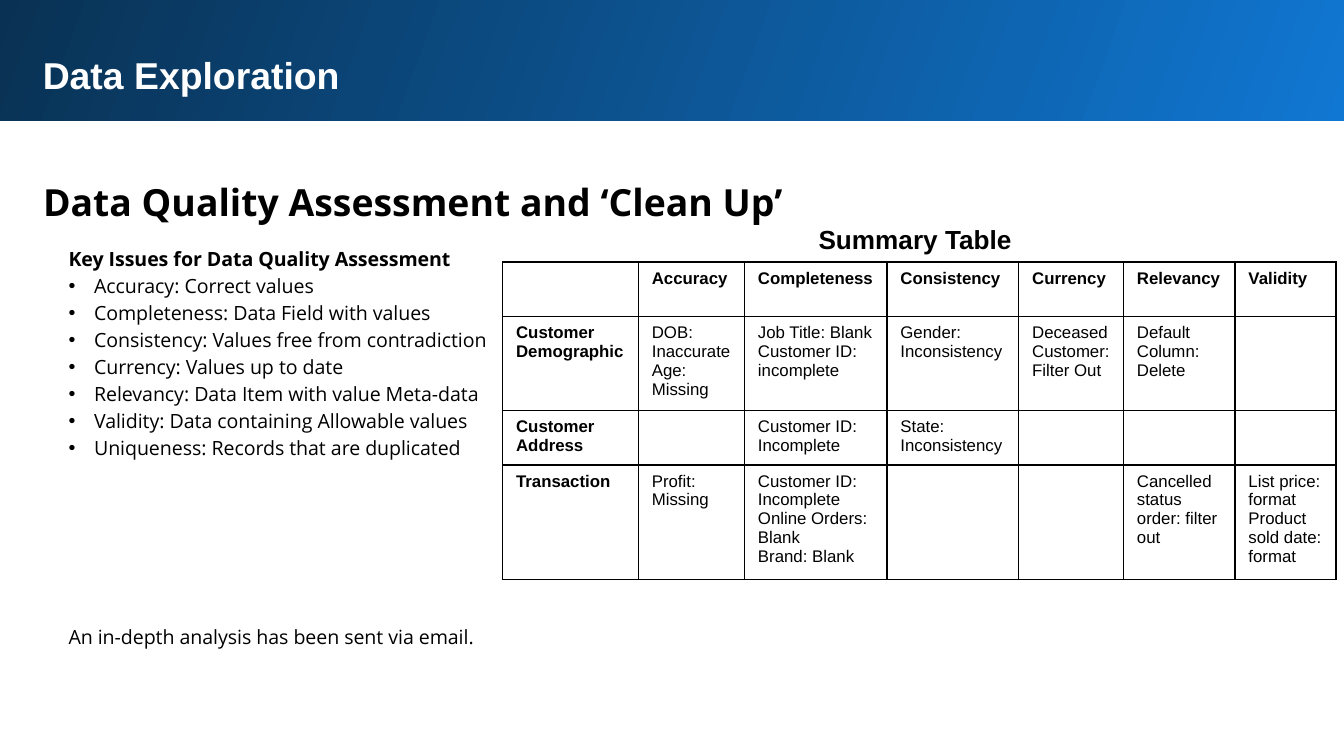
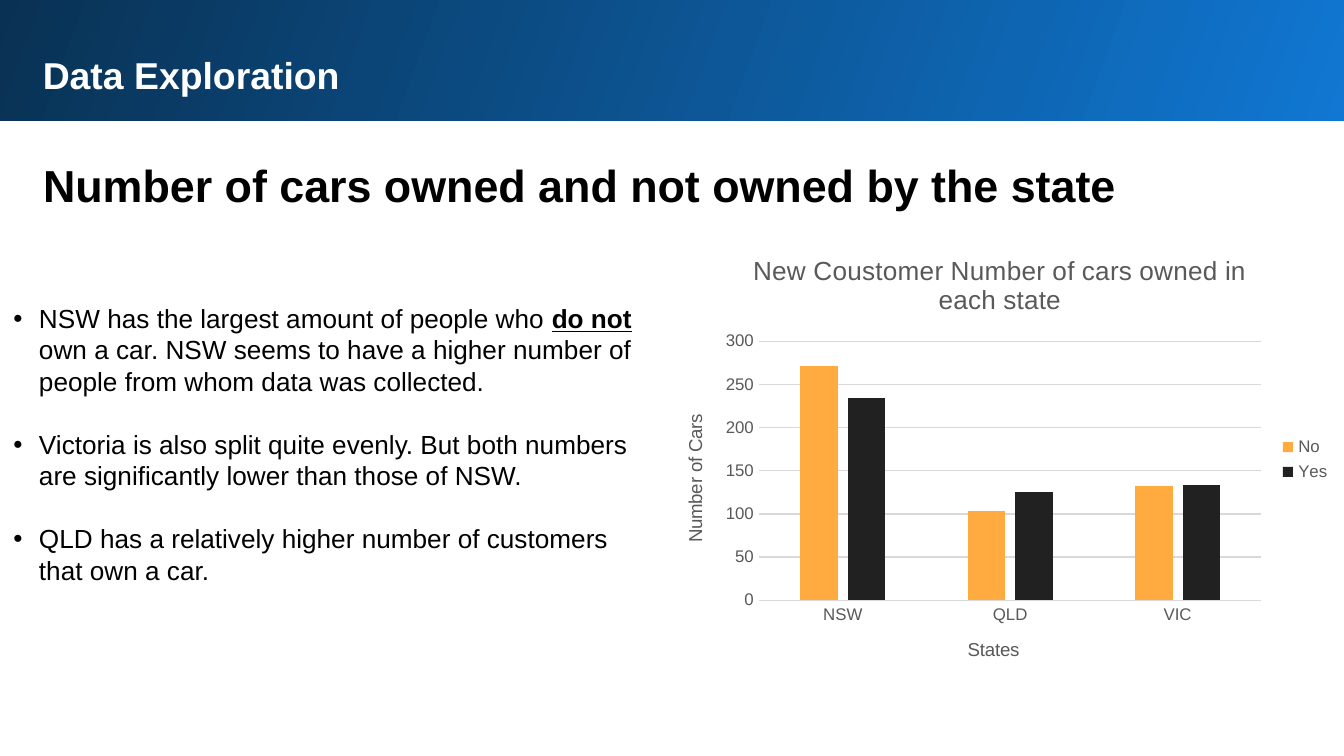
"""Build two data exploration slides: a quality assessment table and a car ownership chart."""
from dataclasses import dataclass, replace
from typing import NamedTuple

from lxml.etree import SubElement
from pptx import Presentation
from pptx.chart.data import CategoryChartData
from pptx.dml.color import RGBColor
from pptx.enum.chart import XL_CHART_TYPE as ChartType, XL_LEGEND_POSITION as LegendPosition
from pptx.enum.chart import XL_TICK_MARK as TickMark
from pptx.enum.shapes import MSO_SHAPE as ShapeKind
from pptx.enum.text import MSO_ANCHOR as Anchor, MSO_AUTO_SIZE as AutoSize, PP_ALIGN as Align
from pptx.oxml.ns import qn
from pptx.util import Inches, Pt

BLACK = RGBColor(0x00, 0x00, 0x00)
WHITE = RGBColor(0xFF, 0xFF, 0xFF)
BRIGHT_BLUE = RGBColor(0x10, 0x77, 0xD2)
NAVY = RGBColor(0x09, 0x31, 0x53)
GRAY = RGBColor(0x59, 0x59, 0x59)
LIGHT_GRAY = RGBColor(0xD9, 0xD9, 0xD9)
ORANGE = RGBColor(0xFF, 0xAB, 0x40)
CHARCOAL = RGBColor(0x21, 0x21, 0x21)
ARIAL = "Arial"
OPEN_SANS = "Open Sans"
SLIDE_WIDTH = Inches(10)
SLIDE_HEIGHT = SLIDE_WIDTH * 9 // 16


class Box(NamedTuple):
    left: float
    top: float
    width: float
    height: float

    def lengths(self) -> tuple:
        return tuple(Inches(value) for value in self)


class Run(NamedTuple):
    text: str
    bold: bool = False
    underline: bool = False


@dataclass(frozen=True)
class Style:
    size: float
    font: str = ARIAL
    color: RGBColor = BLACK
    line_spacing: float = 1.0


@dataclass(frozen=True)
class Line:
    runs: tuple[Run, ...]
    bullet: bool = False
    space_before: float = 0


@dataclass(frozen=True)
class Margins:
    side: float = 0.1
    top: float = 0.1


BANNER_STYLE = Style(20, color=WHITE)
TABLE_STYLE = Style(9)
LIST_STYLE = Style(10.5, OPEN_SANS, line_spacing=1.15)

ISSUES = (
    "Accuracy: Correct values",
    "Completeness: Data Field with values",
    "Consistency: Values free from contradiction",
    "Currency: Values up to date",
    "Relevancy: Data Item with value Meta-data",
    "Validity: Data containing Allowable values",
    "Uniqueness: Records that are duplicated",
)
FINDINGS = (
    (
        Run("NSW has the largest amount of people who "),
        Run("do not ", bold=True, underline=True),
        Run("own a car. NSW seems to have a higher number of people from whom data was collected."),
    ),
    (Run("Victoria is also split quite evenly. But both numbers are significantly lower than those of NSW."),),
    (Run("QLD has a relatively higher number of customers that own a car."),),
)

COLUMN_WIDTHS = (1.01, 0.79, 1.06, 0.98, 0.78, 0.83, 0.75)
ROW_HEIGHTS = (0.4, 0.7, 0.4, 0.85)
SUMMARY = (
    ("", "Accuracy", "Completeness", "Consistency", "Currency", "Relevancy", "Validity"),
    ("Customer Demographic", "DOB: Inaccurate\nAge: Missing", "Job Title: Blank\nCustomer ID: incomplete",
     "Gender: Inconsistency", "Deceased Customer: Filter Out", "Default Column: Delete", ""),
    ("Customer Address", "", "Customer ID: Incomplete", "State: Inconsistency", "", "", ""),
    ("Transaction", "Profit: Missing", "Customer ID: Incomplete\nOnline Orders: Blank\nBrand: Blank",
     "", "", "Cancelled status order: filter out", "List price: format\nProduct sold date: format"),
)

STATES = ("NSW", "QLD", "VIC")
CAR_SERIES = (("No", (272, 103, 132), ORANGE), ("Yes", (234, 125, 134), CHARCOAL))
PLOT_AREA = {"x": 0.15, "y": 0.24, "w": 0.73, "h": 0.57}


def style_font(font, style: Style, bold: bool = False) -> None:
    font.name = style.font
    font.size = Pt(style.size)
    font.color.rgb = style.color
    font.bold = bold


def set_bullet(paragraph, bullet: bool) -> None:
    properties = paragraph._p.get_or_add_pPr()
    indent = Inches(0.19) if bullet else 0
    properties.set("marL", str(indent))
    properties.set("indent", str(-indent))
    if bullet:
        SubElement(properties, qn("a:buFont"), typeface=ARIAL)
        SubElement(properties, qn("a:buChar"), char="•")
    else:
        SubElement(properties, qn("a:buNone"))


def write_lines(frame, lines: list[Line], style: Style) -> None:
    for index, line in enumerate(lines):
        paragraph = frame.add_paragraph() if index else frame.paragraphs[0]
        paragraph.alignment = Align.LEFT
        paragraph.line_spacing = style.line_spacing
        paragraph.space_before = Pt(line.space_before)
        set_bullet(paragraph, line.bullet)
        for text, bold, underline in line.runs:
            run = paragraph.add_run()
            run.text = text
            style_font(run.font, style, bold)
            run.font.underline = underline


def fill_text(shape, box: Box, lines: list[Line], style: Style, margins: Margins = Margins()) -> None:
    shape.left, shape.top, shape.width, shape.height = box.lengths()
    frame = shape.text_frame
    frame.word_wrap = True
    frame.auto_size = AutoSize.NONE
    frame.vertical_anchor = Anchor.TOP
    frame.margin_left = frame.margin_right = Inches(margins.side)
    frame.margin_top = Inches(margins.top)
    frame.margin_bottom = Inches(0.05)
    write_lines(frame, lines, style)


def add_label(slide, box: Box, text: str, style: Style, margins: Margins = Margins()) -> None:
    shape = slide.shapes.add_textbox(*box.lengths())
    fill_text(shape, box, [Line((Run(text, bold=True),))], style, margins)


def add_exploration_slide(presentation, title: str, box: Box, style: Style, margins: Margins = Margins()):
    slide = presentation.slides.add_slide(presentation.slide_layouts[1])
    band = slide.shapes.add_shape(ShapeKind.RECTANGLE, *Box(-0.02, -0.02, 10.05, 0.92).lengths())
    band.shadow.inherit = False
    band.line.fill.background()
    band.fill.gradient()
    band.fill.gradient_angle = 160
    for stop, color in zip(band.fill.gradient_stops, (BRIGHT_BLUE, NAVY)):
        stop.color.rgb = color
    add_label(slide, Box(0.22, 0.29, 9.37, 0.51), "Data Exploration", BANNER_STYLE)
    fill_text(slide.shapes.title, box, [Line((Run(title, bold=True),))], style, margins)
    return slide


def set_borders(cell) -> None:
    properties = cell._tc.get_or_add_tcPr()
    for position, side in enumerate(("lnL", "lnR", "lnT", "lnB")):
        border = properties.makeelement(qn(f"a:{side}"), {"w": str(Pt(1))})
        fill = SubElement(border, qn("a:solidFill"))
        SubElement(fill, qn("a:srgbClr"), val=str(BLACK))
        properties.insert(position, border)


def add_summary_table(slide) -> None:
    box = Box(3.74, 1.95, sum(COLUMN_WIDTHS), sum(ROW_HEIGHTS))
    table = slide.shapes.add_table(len(ROW_HEIGHTS), len(COLUMN_WIDTHS), *box.lengths()).table
    table.first_row = table.horz_banding = False
    for column, width in zip(table.columns, COLUMN_WIDTHS):
        column.width = Inches(width)
    for row_index, (row, height) in enumerate(zip(table.rows, ROW_HEIGHTS)):
        row.height = Inches(height)
        for column_index, cell in enumerate(row.cells):
            cell.fill.background()
            set_borders(cell)
            text = SUMMARY[row_index][column_index]
            if text:
                heading = row_index == 0 or column_index == 0
                lines = [Line((Run(part, heading),)) for part in text.split("\n")]
                write_lines(cell.text_frame, lines, TABLE_STYLE)


def write_title(frame, text: str, size: float) -> None:
    run = frame.paragraphs[0].add_run()
    run.text = text
    style_font(run.font, Style(size, color=GRAY))


def set_plot_area(chart) -> None:
    plot_area = chart._chartSpace.chart.plotArea
    layout = plot_area.find(qn("c:layout"))
    if layout is None:
        layout = plot_area.makeelement(qn("c:layout"), {})
        plot_area.insert(0, layout)
    manual = SubElement(layout, qn("c:manualLayout"))
    SubElement(manual, qn("c:layoutTarget"), val="inner")
    for side in "xy":
        SubElement(manual, qn(f"c:{side}Mode"), val="edge")
    for name, share in PLOT_AREA.items():
        SubElement(manual, qn(f"c:{name}"), val=str(share))


def add_car_chart(slide) -> None:
    data = CategoryChartData()
    data.categories = STATES
    for name, values, _ in CAR_SERIES:
        data.add_series(name, values)
    box = Box(4.88, 1.73, 5.12, 3.38)
    chart = slide.shapes.add_chart(ChartType.COLUMN_CLUSTERED, *box.lengths(), data).chart
    style_font(chart.font, Style(10))
    write_title(chart.chart_title.text_frame, "New Coustomer Number of cars owned in each state", 14)
    set_plot_area(chart)

    plot = chart.plots[0]
    plot.gap_width, plot.overlap, plot.vary_by_categories = 219, -27, False
    for series, (_, _, color) in zip(plot.series, CAR_SERIES):
        series.format.fill.solid()
        series.format.fill.fore_color.rgb = color

    categories, values = chart.category_axis, chart.value_axis
    for axis, title in ((categories, "States"), (values, "Number of Cars")):
        write_title(axis.axis_title.text_frame, title, 10)
        axis.major_tick_mark = axis.minor_tick_mark = TickMark.NONE
        style_font(axis.tick_labels.font, Style(9, color=GRAY))
    values.minimum_scale, values.maximum_scale, values.major_unit = 0, 300, 50
    values.format.line.fill.background()
    for line in (categories.format.line, values.major_gridlines.format.line):
        line.color.rgb = LIGHT_GRAY
        line.width = Pt(0.75)

    chart.has_legend = True
    chart.legend.position = LegendPosition.RIGHT
    chart.legend.include_in_layout = False
    style_font(chart.legend.font, Style(9, color=GRAY))


def add_quality_slide(presentation) -> None:
    slide = add_exploration_slide(
        presentation, "Data Quality Assessment and ‘Clean Up’",
        Box(0.22, 1.18, 9.37, 0.56), replace(LIST_STYLE, size=20))
    lines = [Line((Run("Key Issues for Data Quality Assessment", bold=True),))]
    lines += [Line((Run(issue),), bullet=True) for issue in ISSUES]
    lines.append(Line((Run("An in-depth analysis has been sent via email."),), space_before=87))
    fill_text(slide.placeholders[1], Box(0.41, 1.71, 3.82, 3.24), lines, LIST_STYLE)
    add_label(slide, Box(6.04, 1.61, 1.58, 0.34), "Summary Table", Style(14), Margins(0.05, 0.05))
    add_summary_table(slide)


def add_cars_slide(presentation) -> None:
    slide = add_exploration_slide(
        presentation, "Number of cars owned and not owned by the state",
        Box(0.22, 1.12, 9.78, 0.5), Style(24), Margins(top=0.05))
    lines = [Line(runs, bullet=True, space_before=17 if index else 0) for index, runs in enumerate(FINDINGS)]
    fill_text(slide.placeholders[1], Box(0, 1.73, 5, 2.69), lines, Style(14), Margins(top=0.52))
    add_car_chart(slide)


def main() -> None:
    presentation = Presentation()
    presentation.slide_width, presentation.slide_height = SLIDE_WIDTH, SLIDE_HEIGHT
    add_quality_slide(presentation)
    add_cars_slide(presentation)
    presentation.save("out.pptx")


if __name__ == "__main__":
    main()
